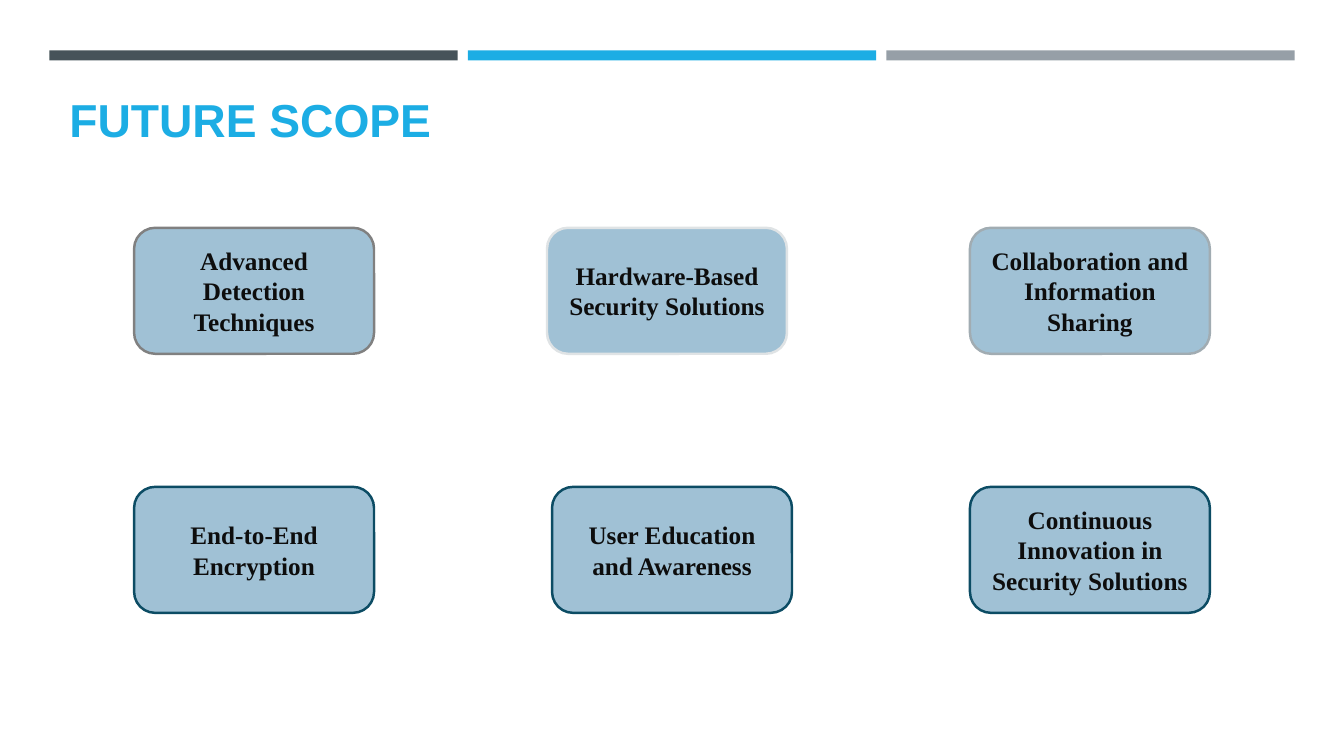
"""Build the Future Scope slide: three header bars, a title and a grid of six cards."""
from pptx import Presentation
from pptx.dml.color import RGBColor
from pptx.enum.shapes import MSO_SHAPE
from pptx.enum.text import MSO_ANCHOR, PP_ALIGN
from pptx.util import Inches, Pt

RECTANGLE, ROUNDED = MSO_SHAPE.RECTANGLE, MSO_SHAPE.ROUNDED_RECTANGLE
MIDDLE, BOTTOM = MSO_ANCHOR.MIDDLE, MSO_ANCHOR.BOTTOM
LEFT, CENTER = PP_ALIGN.LEFT, PP_ALIGN.CENTER

COLORS = {
    "slate": "465359", "sky": "1CADE4", "silver": "969FA7",
    "card": "A0C1D5", "ink": "0D0D0D", "gray": "808080",
    "pale": "DFE3E5", "ash": "A1ACB2", "navy": "0C4C64",
}
TITLE_FORMAT = {"name": "Arial", "size": Pt(33), "bold": True}
CARD_FORMAT = {"name": "Times New Roman", "size": Pt(18), "bold": True}

BAR_LEFT, BAR_TOP, BAR_WIDTH, BAR_HEIGHT, BAR_PITCH = 0.49, 0.5, 4.05, 0.1, 4.15
GRID_LEFT, GRID_TOP, COLUMN_PITCH, ROW_PITCH = 1.33, 2.26, 4.145, 2.57
CARD_WIDTH, CARD_HEIGHT = 2.38, 1.25

CARD_ROWS = [
    [("Advanced Detection Techniques", "gray", 0),
     ("Hardware-Based Security Solutions", "pale", -0.05),
     ("Collaboration and Information Sharing", "ash", 0)],
    [("End-to-End Encryption", "navy", 0),
     ("User Education and Awareness", "navy", 0),
     ("Continuous Innovation in Security Solutions", "navy", 0)],
]


def add_block(preset, left, top, width, height, fill):
    block = slide.shapes.add_shape(
        preset, Inches(left), Inches(top), Inches(width), Inches(height))
    block.shadow.inherit = False
    block.fill.solid()
    block.fill.fore_color.rgb = RGBColor.from_string(COLORS[fill])
    block.line.fill.background()
    return block


def write(frame, text, anchor, alignment, color, font_format):
    frame.word_wrap = True
    frame.vertical_anchor = anchor
    paragraph = frame.paragraphs[0]
    paragraph.alignment = alignment
    run = paragraph.add_run()
    run.text = text
    run.font.color.rgb = RGBColor.from_string(COLORS[color])
    for attribute, value in font_format.items():
        setattr(run.font, attribute, value)
    return paragraph


deck = Presentation()
deck.slide_width, deck.slide_height = Inches(13.33), Inches(7.5)
slide = deck.slides.add_slide(deck.slide_layouts[6])

for column, bar_color in enumerate(["slate", "sky", "silver"]):
    add_block(RECTANGLE, BAR_LEFT + column * BAR_PITCH, BAR_TOP,
              BAR_WIDTH, BAR_HEIGHT, bar_color)

title = slide.shapes.add_textbox(Inches(0.59), Inches(0.92), Inches(12.06), Inches(0.58))
heading = write(title.text_frame, "FUTURE SCOPE", BOTTOM, LEFT, "sky", TITLE_FORMAT)
heading.line_spacing = 0.8

for row, topics in enumerate(CARD_ROWS):
    for column, (topic, border, shift) in enumerate(topics):
        card = add_block(ROUNDED, GRID_LEFT + column * COLUMN_PITCH + shift,
                         GRID_TOP + row * ROW_PITCH, CARD_WIDTH, CARD_HEIGHT, "card")
        card.line.color.rgb = RGBColor.from_string(COLORS[border])
        card.line.width = Pt(1.75)
        write(card.text_frame, topic, MIDDLE, CENTER, "ink", CARD_FORMAT)

deck.save("out.pptx")
